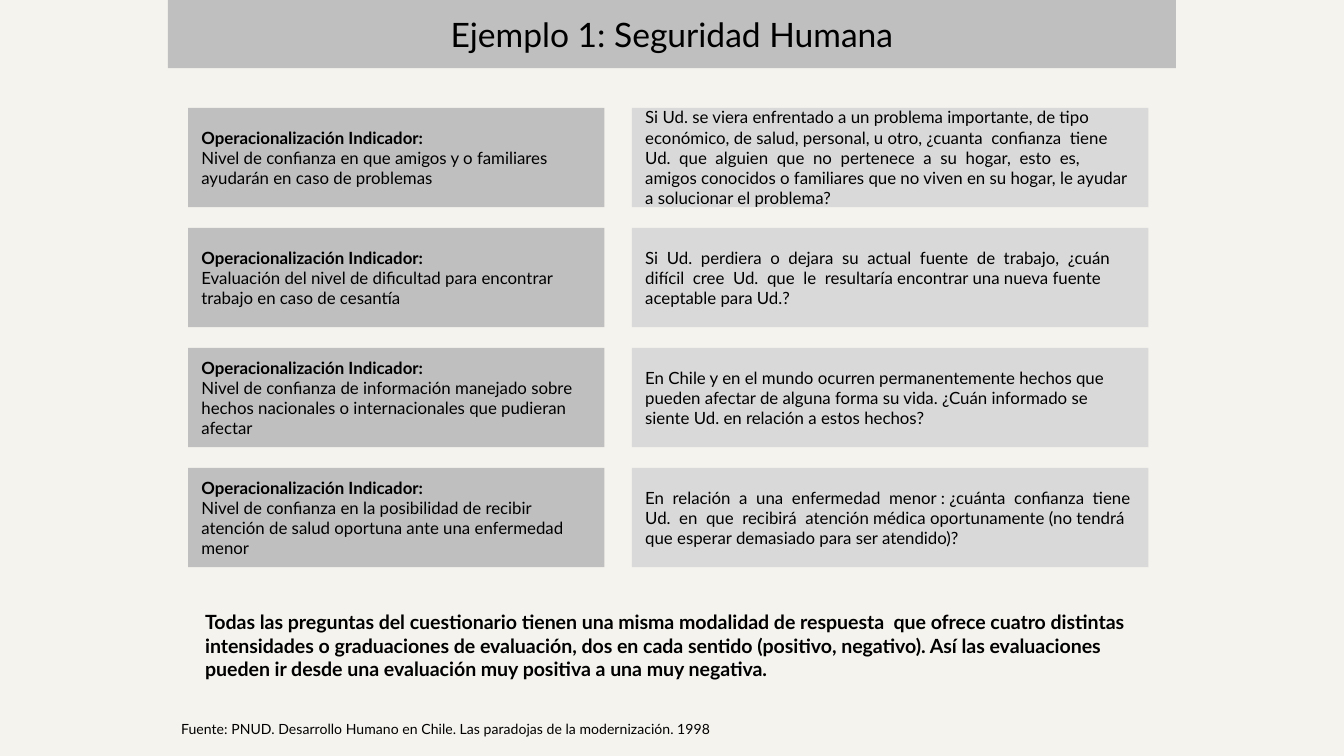
import pptx
import pptx.dml.color
import pptx.enum.shapes
import pptx.enum.text
import pptx.util

Pt = pptx.util.Pt
ALIGN = pptx.enum.text.PP_ALIGN
ANCHOR = pptx.enum.text.MSO_ANCHOR
COLOURS = {
    "background": "F5F3ED",
    "indicator": "BFBFBF",
    "question": "D9D9D9",
    "text": "000000",
}


def rgb(name):
    return pptx.dml.color.RGBColor.from_string(COLOURS[name])


class SlideBuilder:
    font_name = "Lato"

    def __init__(self, slide):
        self.slide = slide
        slide.background.fill.solid()
        slide.background.fill.fore_color.rgb = rgb("background")

    def add_lines(self, frame, lines, size, bold_lines=0, align=ALIGN.LEFT):
        """Add one paragraph per line, the first bold_lines of them bold."""
        for index, line in enumerate(lines):
            paragraph = frame.add_paragraph() if index else frame.paragraphs[0]
            paragraph.text = line
            paragraph.alignment = align
            paragraph.font.name = self.font_name
            paragraph.font.size = Pt(size)
            paragraph.font.bold = index < bold_lines
            paragraph.font.color.rgb = rgb("text")

    def panel(self, bounds, fill, lines, size=9, wrap=True, **style):
        panel = self.slide.shapes.add_shape(
            pptx.enum.shapes.MSO_SHAPE.RECTANGLE, *map(Pt, bounds))
        panel.shadow.inherit = False
        panel.fill.solid()
        panel.fill.fore_color.rgb = rgb(fill)
        panel.line.fill.background()
        panel.text_frame.word_wrap = wrap
        panel.text_frame.vertical_anchor = ANCHOR.MIDDLE
        self.add_lines(panel.text_frame, lines, size, **style)

    def note(self, bounds, text, size, **style):
        frame = self.slide.shapes.add_textbox(*map(Pt, bounds)).text_frame
        frame.word_wrap = True
        frame.auto_size = pptx.enum.text.MSO_AUTO_SIZE.SHAPE_TO_FIT_TEXT
        self.add_lines(frame, [text], size, **style)


# Indicator and the survey question that measures it
INDICATORS = [
    ("Nivel de confianza en que amigos y o familiares ayudarán en caso de problemas",
     "Si Ud. se viera enfrentado a un problema importante, de tipo económico, de salud, "
     "personal, u otro, ¿cuanta  confianza  tiene  Ud.  que  alguien  que  no  pertenece  "
     "a  su  hogar,  esto  es,  amigos conocidos o familiares que no viven en su hogar, "
     "le ayudar a solucionar el problema?"),
    ("Evaluación del nivel de dificultad para encontrar trabajo en caso de cesantía",
     "Si  Ud.  perdiera  o  dejara  su  actual  fuente  de  trabajo,  ¿cuán  difícil  cree  "
     "Ud.  que  le  resultaría encontrar una nueva fuente aceptable para Ud.?"),
    ("Nivel de confianza de información manejado sobre hechos nacionales o "
     "internacionales que pudieran afectar",
     "En Chile y en el mundo ocurren permanentemente hechos que pueden afectar de alguna "
     "forma su vida. ¿Cuán informado se siente Ud. en relación a estos hechos?"),
    ("Nivel de confianza en la posibilidad de recibir atención de salud oportuna ante "
     "una enfermedad menor",
     "En  relación  a  una  enfermedad  menor : ¿cuánta  confianza  tiene  Ud.  en  que  "
     "recibirá  atención médica oportunamente (no tendrá que esperar demasiado para ser "
     "atendido)?"),
]
ROW_TOP, ROW_PITCH, ROW_HEIGHT = 57.8, 64.3, 53.2


def main():
    deck = pptx.Presentation()
    deck.slide_width, deck.slide_height = Pt(720), Pt(405)
    builder = SlideBuilder(deck.slides.add_slide(deck.slide_layouts[6]))

    # Title band
    builder.panel((90, 0, 540, 36.5), "indicator", ["Ejemplo 1: Seguridad Humana"],
                  size=18, wrap=False, align=ALIGN.CENTER)

    # Indicators on the left, questions on the right
    for row, (indicator, question) in enumerate(INDICATORS):
        top = ROW_TOP + row * ROW_PITCH
        builder.panel((100.8, top, 223, ROW_HEIGHT), "indicator",
                      ["Operacionalización Indicador:", indicator], bold_lines=1)
        builder.panel((338.6, top, 276.6, ROW_HEIGHT), "question", [question])

    # Closing remark and source
    builder.note((102.8, 323.5, 512.6, 45),
                 "Todas las preguntas del cuestionario tienen una misma modalidad de "
                 "respuesta  que ofrece cuatro distintas intensidades o graduaciones de "
                 "evaluación, dos en cada sentido (positivo, negativo). Así las "
                 "evaluaciones pueden ir desde una evaluación muy positiva a una muy "
                 "negativa.", 10.5, bold_lines=1)
    builder.note((90, 382.4, 308, 16.4),
                 "Fuente: PNUD. Desarrollo Humano en Chile. Las paradojas de la "
                 "modernización. 1998", 7.5)

    deck.save("out.pptx")


if __name__ == "__main__":
    main()
